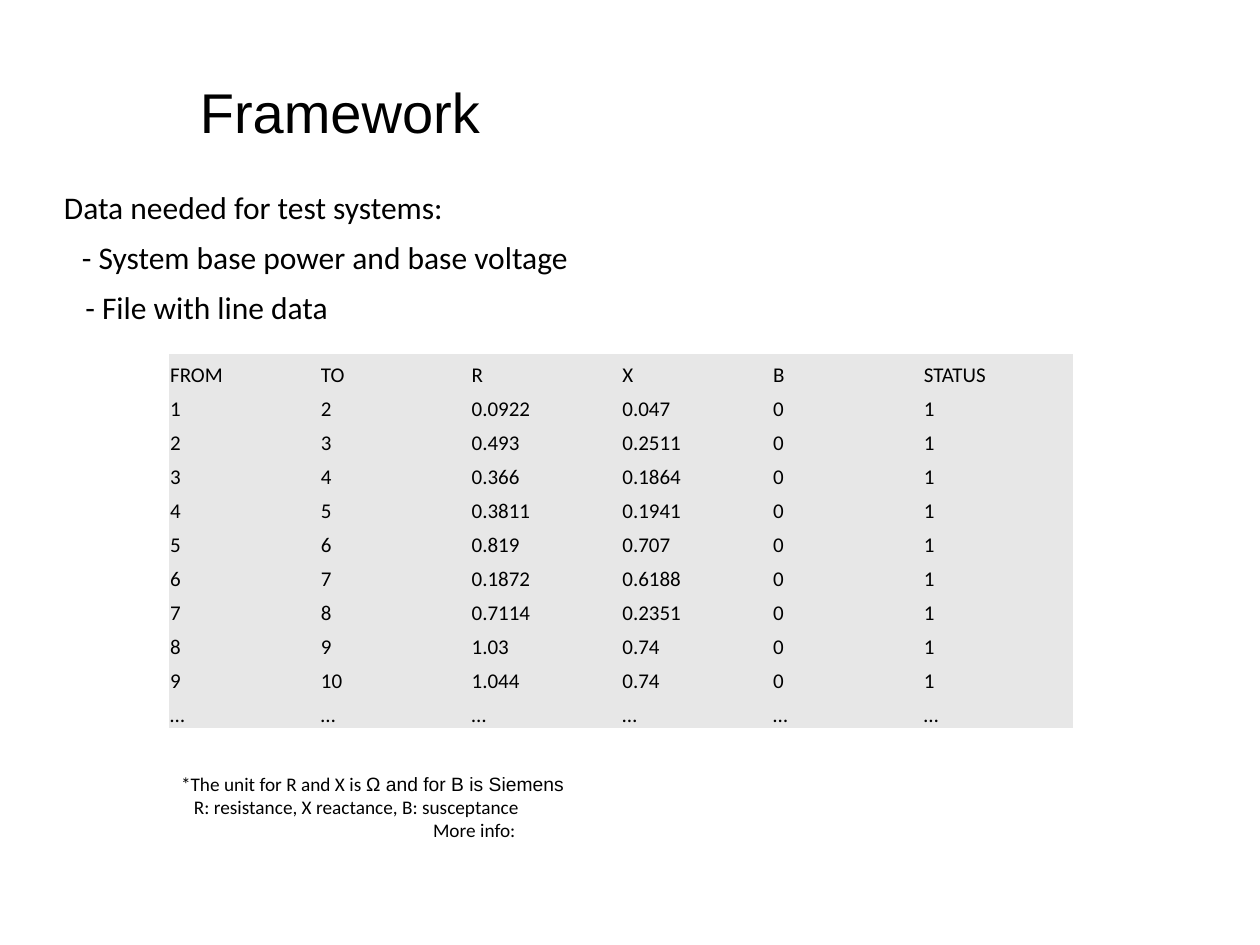
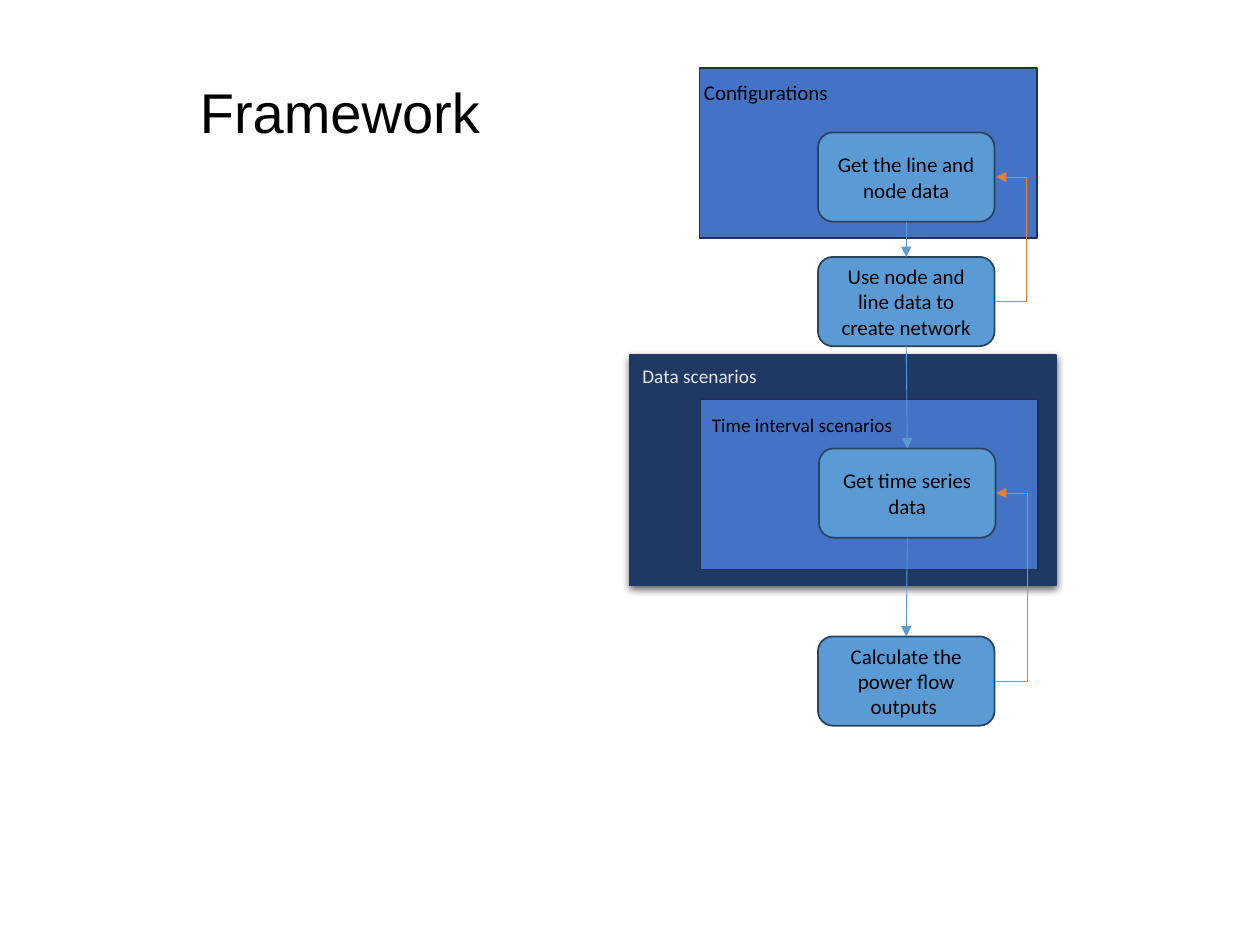
import itertools

import lxml.etree
import pptx
import pptx.dml.color
import pptx.enum.shapes
import pptx.enum.text
import pptx.oxml
import pptx.oxml.ns
import pptx.util

Cm, Pt = pptx.util.Cm, pptx.util.Pt
SHAPES = pptx.enum.shapes.MSO_SHAPE
CONNECTORS = pptx.enum.shapes.MSO_CONNECTOR
ANCHORS = pptx.enum.text.MSO_ANCHOR
CENTER = pptx.enum.text.PP_ALIGN.CENTER

BLACK, LIGHT, TABLE_GREY = "000000", "E7E6E6", "E7E7E7"
NAVY, NAVY_LINE, BLUE = "203864", "1E3256", "4472C4"
STEP_BLUE, STEP_LINE, ORANGE = "5B9BD5", "28445D", "ED7D31"
HEADING_FONT, BODY_FONT = "Arial", "Calibri"
PLAIN_TABLE_STYLE = "{2D5ABB26-0587-4C30-8999-92F81FD0307C}"

TITLE = "Framework"

# text, left, top, width, wraps
DATA_NEEDS = [
    ("Data needed for test systems:", 1.04, 3.66, 13.87, True),
    ("- System base power and base voltage", 1.40, 4.67, 10.44, False),
    ("- File with line data", 1.47, 5.69, 5.46, False),
]
LINE_DATA = [
    ("FROM", "TO", "R", "X", "B", "STATUS"),
    ("1", "2", "0.0922", "0.047", "0", "1"),
    ("2", "3", "0.493", "0.2511", "0", "1"),
    ("3", "4", "0.366", "0.1864", "0", "1"),
    ("4", "5", "0.3811", "0.1941", "0", "1"),
    ("5", "6", "0.819", "0.707", "0", "1"),
    ("6", "7", "0.1872", "0.6188", "0", "1"),
    ("7", "8", "0.7114", "0.2351", "0", "1"),
    ("8", "9", "1.03", "0.74", "0", "1"),
    ("9", "10", "1.044", "0.74", "0", "1"),
    ("…",) * 6,
]
# indent, runs with their fonts
UNIT_NOTES = [
    (0, [("*The unit for R and X is ", BODY_FONT), ("Ω and for B is Siemens", HEADING_FONT)]),
    (0.26, [("R: resistance, X reactance, B: susceptance", BODY_FONT)]),
    (5.08, [("More info:", BODY_FONT)]),
]

# left, top, width, height, fill, line, line width
DATA_FRAME = (12.7, 7.16, 8.59, 4.65, NAVY, NAVY, 0.75)
INNER_FRAMES = [
    (14.12, 8.05, 6.81, 3.43, BLUE, NAVY_LINE, 1),
    (14.10, 1.37, 6.81, 3.43, BLUE, NAVY_LINE, 1),
]
# text, left, top, width, height, size, colour
FRAME_LABELS = [
    ("Time interval scenarios", 14.10, 8.20, 4.17, 0.73, 11, BLACK),
    ("Configurations", 13.94, 1.47, 3.05, 0.77, 12, BLACK),
    ("Data scenarios", 12.70, 7.21, 2.84, 0.73, 11, LIGHT),
]
STEP_WIDTH, STEP_HEIGHT = 3.56, 1.80
# text, left, top
STEPS = [
    ("Get the line and node data", 16.49, 2.67),
    ("Use node and line data to create network", 16.49, 5.18),
    ("Get time series data", 16.51, 9.04),
    ("Calculate the power flow outputs ", 16.49, 12.83),
]
# from step, to step, distance of the lane from the steps
FEEDBACKS = [(1, 0, 0.64), (3, 2, 0.66)]
FEEDBACK_SHIFT = 0.03


def rgb(color):
    return pptx.dml.color.RGBColor.from_string(color)


def set_font(font, size, color=BLACK, name=BODY_FONT):
    font.size, font.name = Pt(size), name
    font.color.rgb = rgb(color)


def add_label(slide, text, left, top, width, height, size,
              color=BLACK, font=BODY_FONT, wraps=False):
    label = slide.shapes.add_textbox(Cm(left), Cm(top), Cm(width), Cm(height))
    frame = label.text_frame
    frame.word_wrap = wraps
    frame.text = text
    set_font(frame.paragraphs[0].font, size, color, font)
    return frame


def add_title(slide):
    frame = add_label(slide, TITLE, 3.78, 1.70, 19.91, 1.24, 32,
                      font=HEADING_FONT, wraps=True)
    frame.vertical_anchor = ANCHORS.MIDDLE
    frame.paragraphs[0].line_spacing = 0.9


def add_box(slide, preset, left, top, width, height, fill, line, line_width):
    box = slide.shapes.add_shape(preset, Cm(left), Cm(top), Cm(width), Cm(height))
    box.shadow.inherit = False
    box.fill.solid()
    box.fill.fore_color.rgb = rgb(fill)
    box.line.color.rgb = rgb(line)
    box.line.width = Pt(line_width)
    return box


def add_child(parent, tag, **attributes):
    child = lxml.etree.SubElement(parent, pptx.oxml.ns.qn(tag))
    for key, value in attributes.items():
        child.set(key, str(value))
    return child


def add_drop_shadow(box):
    effects = box._element.spPr.find(pptx.oxml.ns.qn("a:effectLst"))
    shadow = add_child(effects, "a:outerShdw", blurRad=Pt(4.5), dist=Pt(1.5),
                       dir=90 * 60000, algn="ctr", rotWithShape=0)
    color = add_child(shadow, "a:srgbClr", val=BLACK)
    add_child(color, "a:alpha", val=63000)


def add_arrow(slide, kind, start, end, color):
    arrow = slide.shapes.add_connector(kind, *start, *end)
    arrow.line.color.rgb = rgb(color)
    arrow.line.width = Pt(0.5)
    add_child(arrow.line._get_or_add_ln(), "a:tailEnd", type="triangle")
    add_child(arrow._element.spPr, "a:effectLst")
    return arrow


def add_feedback(slide, source, target, lane):
    """Lead from the right of a step back up to the right of an earlier one."""
    right = source.left + source.width
    shift = Cm(FEEDBACK_SHIFT)
    arrow = add_arrow(slide, CONNECTORS.ELBOW,
                      (right, source.top + source.height // 2),
                      (right + shift, target.top + target.height // 2), ORANGE)
    geometry = arrow._element.spPr.find(pptx.oxml.ns.qn("a:prstGeom"))
    adjustments = geometry.find(pptx.oxml.ns.qn("a:avLst"))
    if adjustments is None:
        adjustments = add_child(geometry, "a:avLst")
    add_child(adjustments, "a:gd", name="adj1",
              fmla=f"val {round(100000 * Cm(lane) / shift)}")


def add_line_table(slide):
    width, height = 18.24, 7.54
    table = slide.shapes.add_table(len(LINE_DATA), len(LINE_DATA[0]), Cm(3.40), Cm(7.14),
                                   Cm(width), Cm(height)).table
    table.first_row = table.horz_banding = False
    table._tbl.tblPr.find(pptx.oxml.ns.qn("a:tableStyleId")).text = PLAIN_TABLE_STYLE
    for row, values in zip(table.rows, LINE_DATA):
        for cell, value in zip(row.cells, values):
            cell.text = value
            cell.fill.solid()
            cell.fill.fore_color.rgb = rgb(TABLE_GREY)
            cell.vertical_anchor = ANCHORS.BOTTOM
            cell.margin_left = cell.margin_right = cell.margin_top = Cm(0.03)
            cell.margin_bottom = 0
            set_font(cell.text_frame.paragraphs[0].font, 12)


def add_unit_notes(slide):
    frame = add_label(slide, "", 3.40, 15.44, 8.38, 1.68, 11, wraps=True)
    for number, (indent, runs) in enumerate(UNIT_NOTES):
        note = frame.add_paragraph() if number else frame.paragraphs[0]
        note._p.get_or_add_pPr().set("marL", str(Cm(indent)))
        for text, font in runs:
            run = note.add_run()
            run.text = text
            set_font(run.font, 11, name=font)


def build_data_slide(slide):
    add_title(slide)
    for text, left, top, width, wraps in DATA_NEEDS:
        add_label(slide, text, left, top, width, 1.02, 18, wraps=wraps)
    add_line_table(slide)
    add_unit_notes(slide)


def add_step(slide, text, left, top):
    step = add_box(slide, SHAPES.ROUNDED_RECTANGLE, left, top, STEP_WIDTH, STEP_HEIGHT,
                   STEP_BLUE, STEP_LINE, 1)
    frame = step.text_frame
    frame.text = text
    frame.word_wrap = True
    frame.vertical_anchor = ANCHORS.MIDDLE
    frame.paragraphs[0].alignment = CENTER
    set_font(frame.paragraphs[0].font, 12)
    return step


def build_flow_slide(slide):
    add_drop_shadow(add_box(slide, SHAPES.RECTANGLE, *DATA_FRAME))
    for frame in INNER_FRAMES:
        add_box(slide, SHAPES.RECTANGLE, *frame)
    add_title(slide)
    for label in FRAME_LABELS:
        add_label(slide, *label)
    steps = [add_step(slide, *step) for step in STEPS]
    for upper, lower in itertools.pairwise(steps):
        arrow = add_arrow(slide, CONNECTORS.STRAIGHT, (0, 0), (0, 0), STEP_BLUE)
        arrow.begin_connect(upper, 2)
        arrow.end_connect(lower, 0)
    for source, target, lane in FEEDBACKS:
        add_feedback(slide, steps[source], steps[target], lane)


def main():
    deck = pptx.Presentation()
    deck.slide_width, deck.slide_height = Cm(25.4), Cm(19.05)
    for build in (build_data_slide, build_flow_slide):
        build(deck.slides.add_slide(deck.slide_layouts[6]))
    deck.save("out.pptx")


if __name__ == "__main__":
    main()
